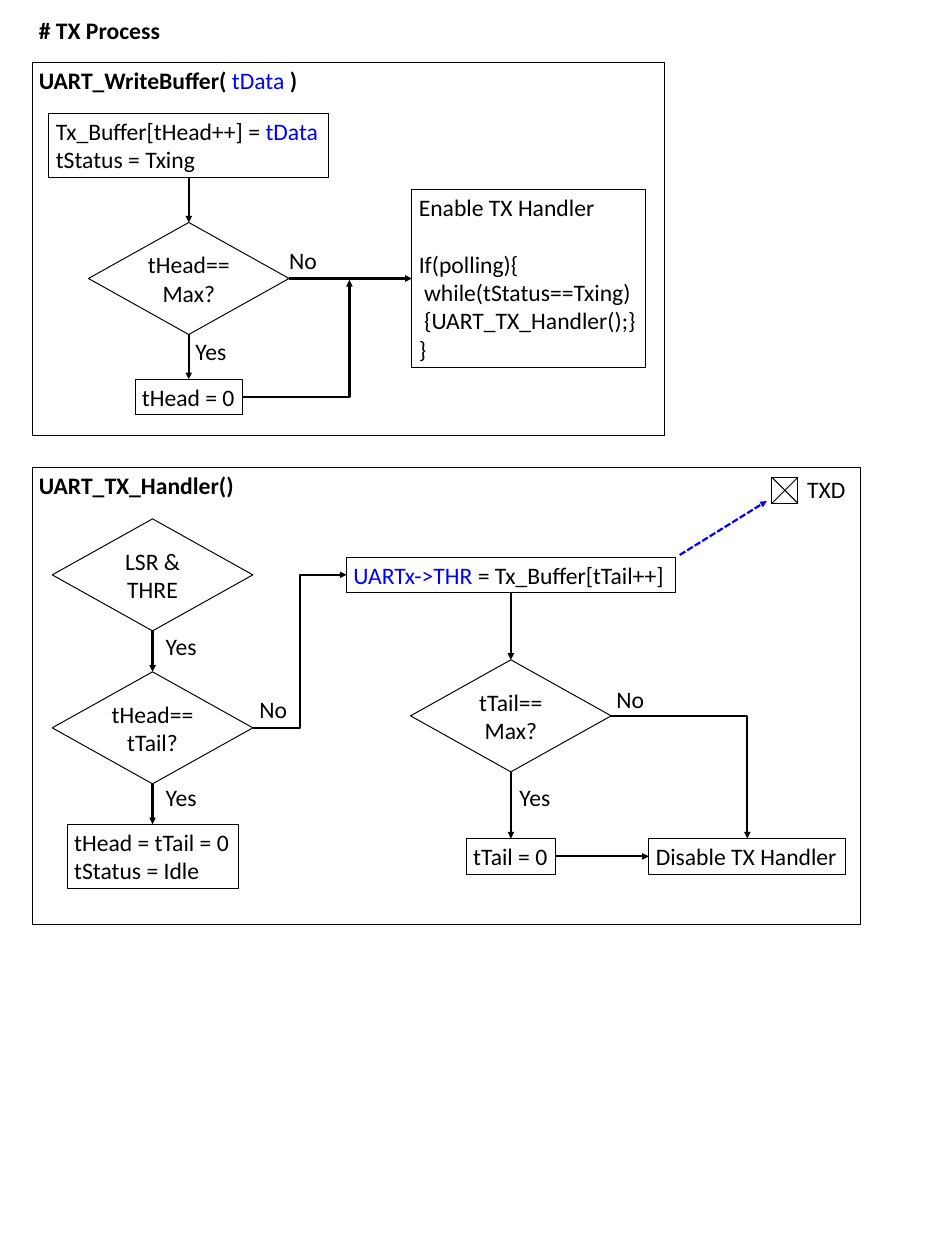
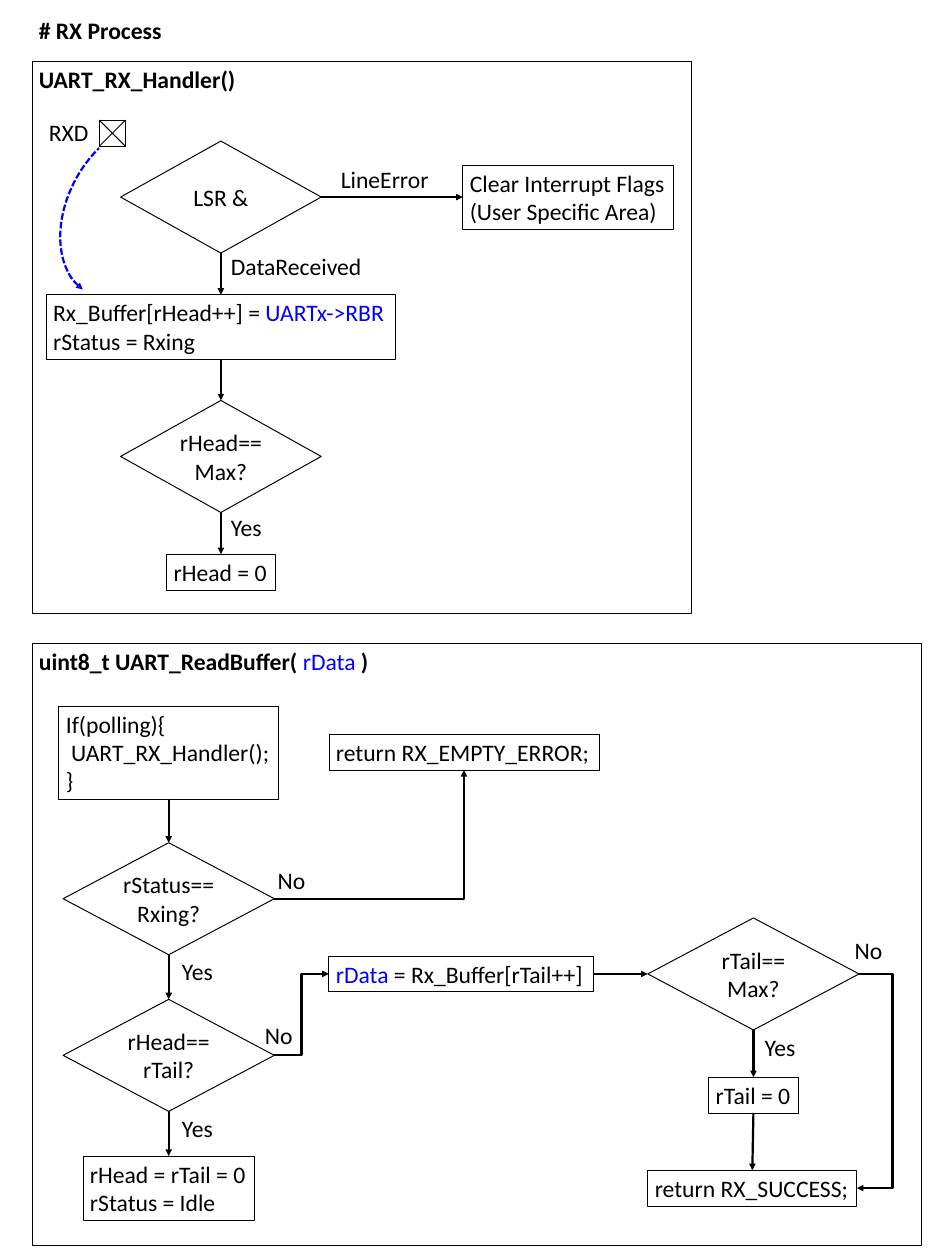
from dataclasses import dataclass

from lxml import etree
from pptx import Presentation
from pptx.dml.color import RGBColor
from pptx.enum.dml import MSO_LINE
from pptx.enum.shapes import MSO_CONNECTOR, MSO_SHAPE
from pptx.enum.text import MSO_ANCHOR, PP_ALIGN
from pptx.oxml.ns import qn
from pptx.util import Pt

RECTANGLE, DIAMOND, ARC = MSO_SHAPE.RECTANGLE, MSO_SHAPE.DIAMOND, MSO_SHAPE.ARC
STRAIGHT, ELBOW = MSO_CONNECTOR.STRAIGHT, MSO_CONNECTOR.ELBOW
DASHED = MSO_LINE.SQUARE_DOT
TOP, MIDDLE = MSO_ANCHOR.TOP, MSO_ANCHOR.MIDDLE
LEFT_ALIGNED, CENTRED = PP_ALIGN.LEFT, PP_ALIGN.CENTER
TOP_SIDE, LEFT_SIDE, BOTTOM_SIDE, RIGHT_SIDE = range(4)


@dataclass(frozen=True)
class Theme:
    ink: RGBColor = RGBColor(0, 0, 0)
    accent: RGBColor = RGBColor(0, 0, 255)
    paper: RGBColor = RGBColor(255, 255, 255)
    font: str = "Calibri"
    text_size: float = 24
    line_height: float = 29.08
    inset: float = 3.6
    box_line: float = 0.75
    symbol_line: float = 1
    arrow_line: float = 2.25
    diamond_height: float = 113.8
    pad_size: float = 26.6
    margin: float = 32.4


class FlowChart:
    def __init__(self, deck, theme):
        self.deck = deck
        self.theme = theme
        self.page = None

    def start_page(self, title):
        self.page = self.deck.slides.add_slide(self.deck.slide_layouts[6])
        self.label(self.theme.margin, 12.2, title, 140, bold=True)

    def text_height(self, text):
        return len(text.split("\n")) * self.theme.line_height + 2 * self.theme.inset

    def style(self, font, color, bold):
        font.name = self.theme.font
        font.size = Pt(self.theme.text_size)
        font.color.rgb = color
        font.bold = bold

    def fill_text(self, shape, text, bold=False, align=LEFT_ALIGNED):
        """Words between backticks are accented; an empty line becomes spacing."""
        frame = shape.text_frame
        para, gap = frame.paragraphs[0], 0
        for number, line in enumerate(text.split("\n")):
            if not line:
                gap += self.theme.line_height
                continue
            if number:
                para = frame.add_paragraph()
            para.alignment = align
            para.space_before = Pt(gap)
            gap = 0
            self.style(para.font, self.theme.ink, bold)
            for index, words in enumerate(line.split("`")):
                if words:
                    accented = index % 2 == 1
                    span = para.add_run()
                    span.text = words
                    color = self.theme.accent if accented else self.theme.ink
                    self.style(span.font, color, bold and not accented)

    def outline(self, kind, left, top, width, height, weight, filled=False):
        shape = self.page.shapes.add_shape(
            kind, Pt(left), Pt(top), Pt(width), Pt(height))
        shape.shadow.inherit = False
        if filled:
            shape.fill.solid()
            shape.fill.fore_color.rgb = self.theme.paper
        else:
            shape.fill.background()
        shape.line.color.rgb = self.theme.ink
        shape.line.width = Pt(weight)
        shape.text_frame.word_wrap = False
        shape.text_frame.vertical_anchor = TOP
        return shape

    def panel(self, top, width, height, title):
        panel = self.outline(RECTANGLE, self.theme.margin, top, width, height,
                             self.theme.box_line)
        self.fill_text(panel, title, bold=True)

    def label(self, left, top, text, width=46, bold=False):
        box = self.page.shapes.add_textbox(
            Pt(left), Pt(top), Pt(width), Pt(self.text_height(text)))
        box.text_frame.word_wrap = False
        self.fill_text(box, text, bold)

    def step(self, center, middle, width, text):
        height = self.text_height(text)
        box = self.outline(RECTANGLE, center - width / 2, middle - height / 2,
                           width, height, self.theme.box_line)
        self.fill_text(box, text)
        return box

    def decision(self, center, middle, text, width=203.8):
        height = self.theme.diamond_height
        diamond = self.outline(DIAMOND, center - width / 2, middle - height / 2,
                               width, height, self.theme.symbol_line, filled=True)
        diamond.text_frame.word_wrap = True
        diamond.text_frame.vertical_anchor = MIDDLE
        self.fill_text(diamond, text, align=CENTRED)
        return diamond

    def pad(self, left, top):
        size = self.theme.pad_size
        right, bottom = left + size, top + size
        self.outline(RECTANGLE, left, top, size, size,
                     self.theme.symbol_line, filled=True)
        for start, end in (((right, top), (left, bottom)),
                           ((left, top), (right, bottom))):
            self.line(STRAIGHT, start, end, self.theme.symbol_line)

    def line(self, kind, start, end, weight):
        line = self.page.shapes.add_connector(
            kind, *[Pt(length) for length in (*start, *end)])
        line.line.color.rgb = self.theme.ink
        line.line.width = Pt(weight)
        etree.SubElement(line.element.spPr, qn("a:effectLst"))
        return line

    def point(self, shape, end="tailEnd"):
        outline = shape.element.spPr.find(qn("a:ln"))
        etree.SubElement(outline, qn("a:" + end), type="triangle")

    def dash(self, shape):
        shape.line.color.rgb = self.theme.accent
        shape.line.width = Pt(self.theme.arrow_line)
        shape.line.dash_style = DASHED

    def arrow(self, source, source_side, target, target_side, kind=STRAIGHT):
        arrow = self.line(kind, (0, 0), (0, 0), self.theme.arrow_line)
        arrow.begin_connect(source, source_side)
        arrow.end_connect(target, target_side)
        self.point(arrow)
        return arrow

    def down(self, *shapes):
        for source, target in zip(shapes, shapes[1:]):
            self.arrow(source, BOTTOM_SIDE, target, TOP_SIDE)

    def across(self, source, target, kind=STRAIGHT):
        self.arrow(source, RIGHT_SIDE, target, LEFT_SIDE, kind)

    def corner(self, arrow):
        arrow.element.spPr.find(qn("a:prstGeom")).set("prst", "bentConnector2")

    def turn(self, source, target, side):
        self.corner(self.arrow(source, RIGHT_SIDE, target, side, ELBOW))

    def merge(self, source, end):
        arrow = self.line(ELBOW, (0, 0), end, self.theme.arrow_line)
        arrow.begin_connect(source, RIGHT_SIDE)
        self.point(arrow)
        self.corner(arrow)

    def loop(self, source, target, turn):
        arrow = self.arrow(source, RIGHT_SIDE, target, RIGHT_SIDE, ELBOW)
        share = (Pt(turn) - arrow.begin_x) / (arrow.end_x - arrow.begin_x)
        geometry = arrow.element.spPr.find(qn("a:prstGeom"))
        etree.SubElement(geometry.find(qn("a:avLst")), qn("a:gd"),
                         name="adj1", fmla=f"val {round(share * 100000)}")

    def signal(self, start, end):
        arrow = self.line(STRAIGHT, start, end, self.theme.arrow_line)
        self.dash(arrow)
        self.point(arrow)

    def curved_signal(self, left, top, width, height, rotation, angles):
        arc = self.outline(ARC, left, top, width, height, self.theme.arrow_line)
        arc.rotation = rotation
        for index, angle in enumerate(angles):
            arc.adjustments[index] = angle
        self.dash(arc)
        self.point(arc, "headEnd")

    def labels(self, text, *places):
        for left, top in places:
            self.label(left, top, text)


def draw_transmit(chart):
    chart.start_page("# TX Process")

    chart.panel(63.4, 643, 379.4, "UART_WriteBuffer( `tData` )")
    axis, middle = 191.8, 282.9
    store = chart.step(axis, 148, 284.4,
                       "Tx_Buffer[tHead++] = `tData`\ntStatus = Txing")
    full = chart.decision(axis, middle, "tHead==\nMax?")
    reset = chart.step(axis, 403.3, 109.4, "tHead = 0")
    enable = chart.step(
        536.8, middle, 236.9,
        "Enable TX Handler\n\nIf(polling){\n while(tStatus==Txing)\n"
        " {UART_TX_Handler();}\n}")
    chart.down(store, full, reset)
    chart.across(full, enable)
    chart.merge(reset, (355, 284.4))

    chart.panel(474.5, 841.7, 465.1, "UART_TX_Handler()")
    axis, send_axis, first, last = 155, 519, 584, 870
    ready = chart.decision(axis, first, "LSR & THRE")
    empty = chart.decision(axis, 739.4, "tHead==\ntTail?")
    idle = chart.step(axis, last, 173.5, "tHead = tTail = 0\ntStatus = Idle")
    send = chart.step(send_axis, first, 334, "`UARTx->THR` = Tx_Buffer[tTail++]")
    full = chart.decision(send_axis, 727.2, "tTail==\nMax?")
    reset = chart.step(send_axis, last, 90.7, "tTail = 0")
    disable = chart.step(759.2, last, 200.2, "Disable TX Handler")
    chart.down(ready, empty, idle)
    chart.across(empty, send, ELBOW)
    chart.down(send, full, reset)
    chart.across(reset, disable)
    chart.turn(full, disable, TOP_SIDE)
    chart.pad(784.1, 484.8)
    chart.label(812.9, 478.8, "TXD", 54)
    chart.signal((690.5, 563.8), (779, 509))

    chart.labels("Yes", (191.5, 339.1), (161.3, 638.6), (161.3, 792), (520.6, 792))
    chart.labels("No", (286.6, 246.2), (256.3, 702.7), (619.2, 691.9))


def draw_receive(chart):
    chart.start_page("# RX Process")

    chart.panel(62.6, 670.3, 560.9, "UART_RX_Handler()")
    axis, middle = 224.4, 200.2
    chart.pad(100.8, 122)
    chart.label(42.5, 115.9, "RXD", 55.4)
    status = chart.decision(axis, middle, "LSR &")
    store = chart.step(axis, 332.2, 355,
                       "Rx_Buffer[rHead++] = `UARTx->RBR`\nrStatus = Rxing")
    full = chart.decision(axis, 463.7, "rHead==\nMax?")
    reset = chart.step(axis, 581.2, 110, "rHead = 0")
    clear = chart.step(577.1, middle, 213.8,
                       "Clear Interrupt Flags\n(User Specific Area)")
    chart.down(status, store, full, reset)
    chart.across(status, clear)
    chart.label(227.5, 252.7, "DataReceived", 148)
    chart.label(339.1, 164.2, "LineError", 105)
    chart.curved_signal(69.1, 117.4, 131.8, 191.5, 208.7, (164.08, 19.48))

    chart.panel(653.8, 903.6, 611.3, "uint8_t UART_ReadBuffer( `rData` )")
    axis, read_axis, middle, last, wide = 171.4, 765.4, 989.4, 1207, 214.6
    poll = chart.step(axis, 764.4, 223.2, "If(polling){\n UART_RX_Handler();\n}")
    received = chart.decision(axis, 913, "rStatus==\nRxing?", wide)
    empty = chart.decision(axis, 1072.1, "rHead==\nrTail?", wide)
    idle = chart.step(axis, last, 174.2, "rHead = rTail = 0\nrStatus = Idle")
    error = chart.step(471.3, 764.1, 274.3, "return RX_EMPTY_ERROR;")
    read = chart.step(468.4, middle, 268.6, "`rData` = Rx_Buffer[rTail++]")
    full = chart.decision(read_axis, middle, "rTail==\nMax?", wide)
    reset = chart.step(read_axis, 1112.5, 90.7, "rTail = 0")
    success = chart.step(764.3, last, 212.4, "return RX_SUCCESS;")
    chart.down(poll, received, empty, idle)
    chart.down(full, reset, success)
    chart.across(read, full)
    chart.across(empty, read, ELBOW)
    chart.turn(received, error, BOTTOM_SIDE)
    chart.loop(full, success, 906.5)

    chart.labels("Yes", (227.5, 517), (177.8, 968.4), (177.8, 1128.2),
                 (769.7, 1046.2))
    chart.labels("No", (262.1, 1033.2), (275, 876.2), (861.1, 946.8))


deck = Presentation()
deck.slide_width, deck.slide_height = Pt(960), Pt(1280)
flow_chart = FlowChart(deck, Theme())
draw_transmit(flow_chart)
draw_receive(flow_chart)
deck.save("out.pptx")
